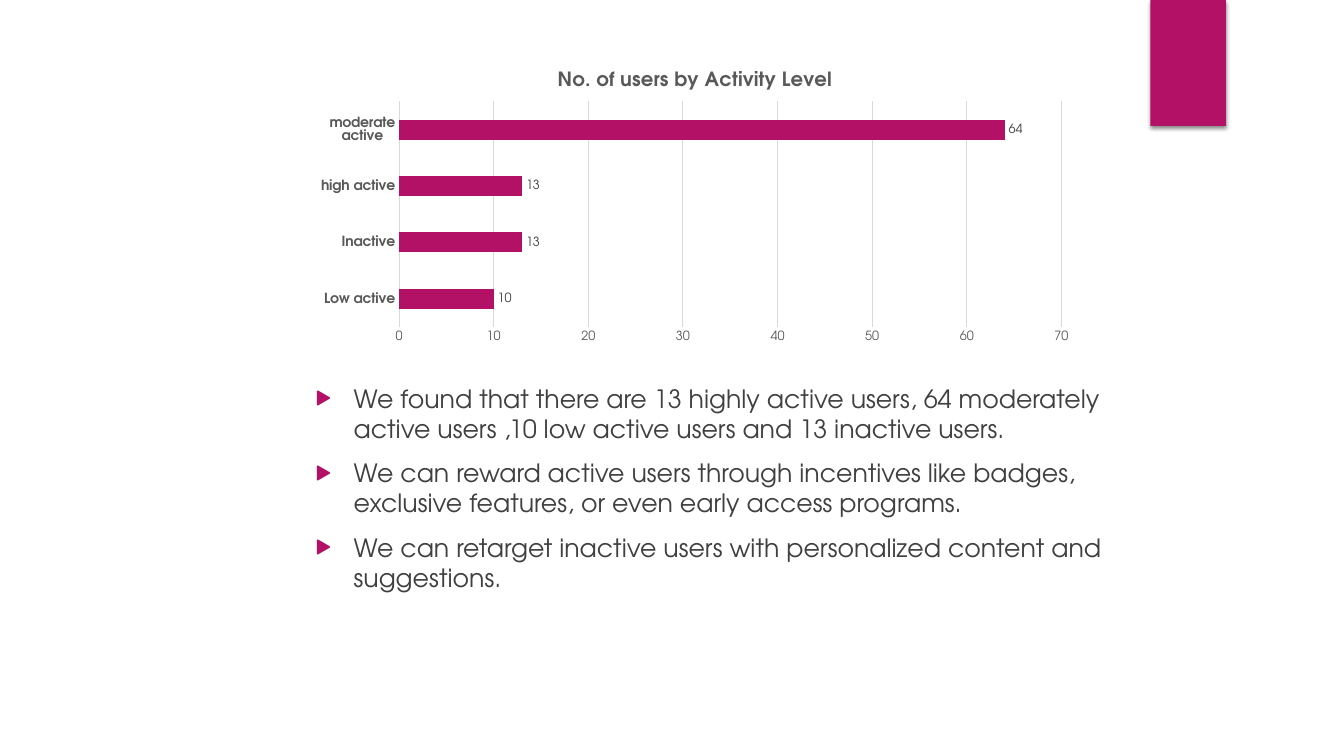
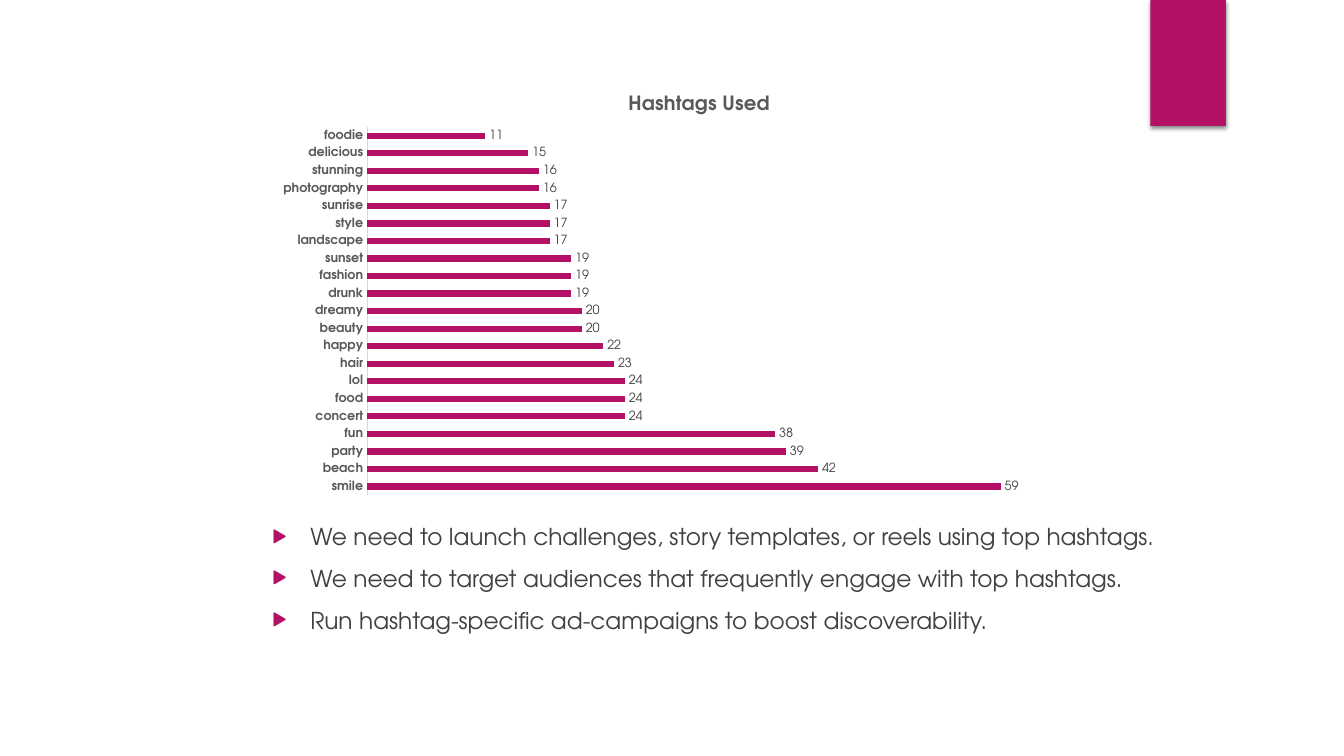
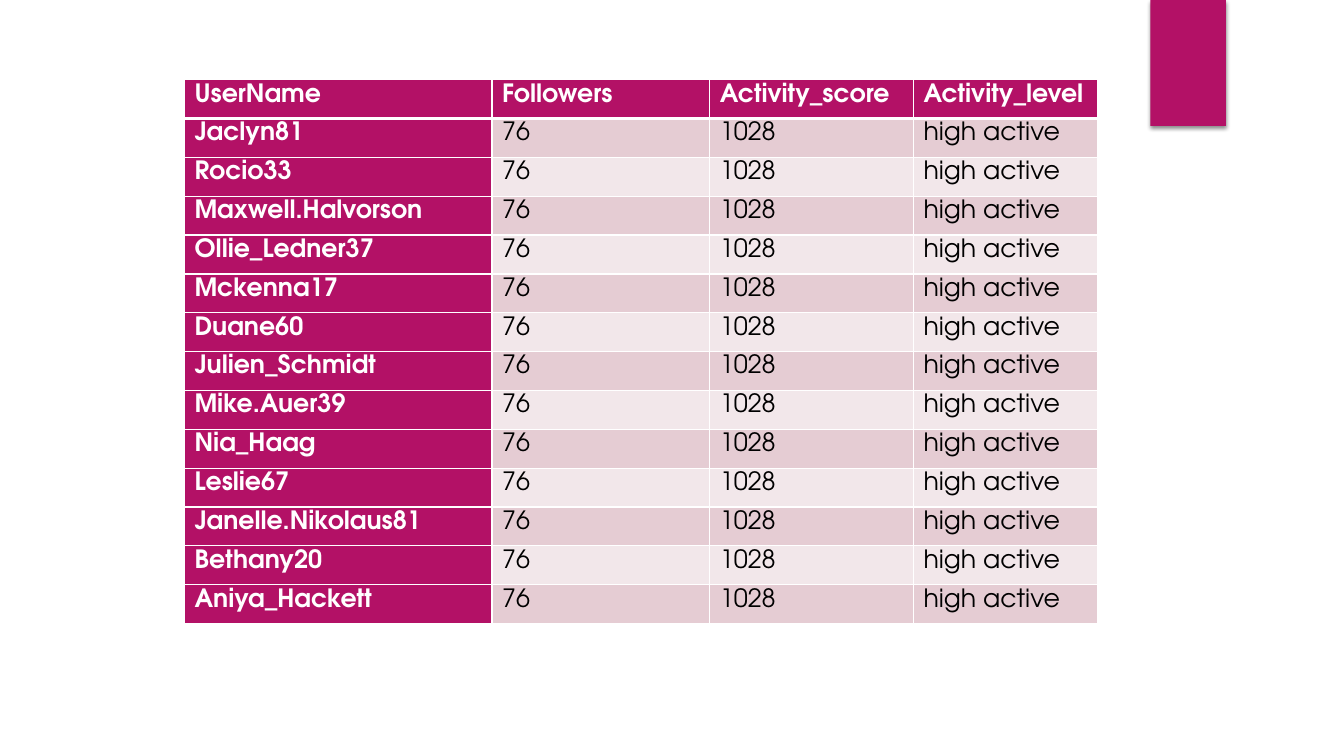
from lxml import etree
from pptx import Presentation, util as u
from pptx.chart.data import CategoryChartData
from pptx.dml.color import RGBColor
from pptx.enum import chart as ch, shapes, text
from pptx.oxml import parse_xml
from pptx.oxml.ns import nsdecls, qn

FONT = "TeX Gyre Adventor"
COLORS = {k: RGBColor.from_string(v) for k, v in {
    "accent": "B31166", "body": "404040", "axis": "595959", "grid": "D9D9D9",
    "white": "FFFFFF", "black": "000000", "dark_row": "E5CCD3", "light_row": "F2E7EA",
}.items()}

CHART_SLIDES = [
    {
        "title": "No. of users by Activity Level",
        "values": {"Low active": 10, "Inactive": 13, "high active": 13, "moderate active": 64},
        "chart_at": (3.03, 0.54, 7.73, 2.91),
        "plot": (0.12, 0.16, 0.85, 0.77),
        "category_size": 10,
        "show_scale": True,
        "text_at": (3.03, 3.75, 8.53, 2.87),
        "text_size": 18,
        "bullets": [
            "We found that there are 13 highly active users, 64 moderately active users ,"
            "10 low active users and 13 inactive users.",
            "We can reward active users through incentives like badges, exclusive features, "
            "or even early access programs.",
            "We can retarget inactive users with personalized content and suggestions.",
        ],
    },
    {
        "title": "Hashtags Used",
        "values": {
            "smile": 59, "beach": 42, "party": 39, "fun": 38, "concert": 24, "food": 24,
            "lol": 24, "hair": 23, "happy": 22, "beauty": 20, "dreamy": 20, "drunk": 19,
            "fashion": 19, "sunset": 19, "landscape": 17, "style": 17, "sunrise": 17,
            "photography": 16, "stunning": 16, "delicious": 15, "foodie": 11,
        },
        "chart_at": (2.6, 0.75, 8.67, 4.25),
        "plot": (0.12, 0.12, 0.86, 0.86),
        "category_size": 9,
        "show_scale": False,
        "text_at": (2.6, 5.13, 8.96, 1.49),
        "text_size": 16.6,
        "bullets": [
            "We need to launch challenges, story templates, or reels using top hashtags.",
            "We need to target audiences that frequently engage with top hashtags.",
            "Run hashtag-specific ad-campaigns to boost discoverability.",
        ],
    },
]

HEADER = ("UserName", "Followers", "Activity_score", "Activity_level")
USERS = ("Jaclyn81", "Rocio33", "Maxwell.Halvorson", "Ollie_Ledner37", "Mckenna17",
         "Duane60", "Julien_Schmidt", "Mike.Auer39", "Nia_Haag", "Leslie67",
         "Janelle.Nikolaus81", "Bethany20", "Aniya_Hackett")
USER_STATS = ("76", "1028", "high active")
COLUMN_WIDTHS = (3.05, 2.16, 2.02, 1.83)
TABLE_LEFT, TABLE_TOP, TABLE_HEIGHT = 1.83, 0.79, 5.4


def inches(box):
    return [u.Inches(v) for v in box]


def style_font(font, size, color, bold=False):
    font.name, font.size, font.bold = FONT, u.Pt(size), bold
    font.color.rgb = COLORS[color]


def add_band(slide, layout):
    """Draw the corner band and move it to the layout, which every slide uses."""
    sp = slide.shapes.add_shape(shapes.MSO_SHAPE.RECTANGLE, *inches((11.41, 0, 0.75, 1.25)))
    sp.fill.solid()
    sp.fill.fore_color.rgb = COLORS["accent"]
    sp.line.fill.background()
    sp.shadow.inherit = False
    sp.element.spPr.find(qn("a:effectLst")).append(parse_xml(
        f'<a:outerShdw {nsdecls("a")} blurRad="{u.Pt(3)}" dist="{u.Pt(2)}" dir="5400000" '
        f'rotWithShape="0"><a:srgbClr val="{COLORS["black"]}"><a:alpha val="45000"/>'
        '</a:srgbClr></a:outerShdw>'))
    layout.element.cSld.spTree.append(sp.element)


def add_bullets(slide, box, lines, size):
    tf = slide.shapes.add_textbox(*inches(box)).text_frame
    tf.word_wrap = True
    for i, line in enumerate(lines):
        p = tf.paragraphs[0] if i == 0 else tf.add_paragraph()
        p.text = line
        p.space_before = u.Pt(10)
        style_font(p.font, size, "body")
        pPr = p._p.get_or_add_pPr()
        indent = u.Inches(0.38)
        pPr.set("marL", str(indent))
        pPr.set("indent", str(-indent))
        bullet = parse_xml(
            f'<a:pPr {nsdecls("a")}><a:buClr><a:srgbClr val="{COLORS["accent"]}"/></a:buClr>'
            f'<a:buSzPct val="80000"/><a:buFont typeface="{FONT}"/><a:buChar char="▶"/></a:pPr>')
        at = list(pPr).index(pPr.find(qn("a:spcBef"))) + 1
        pPr[at:at] = list(bullet)


def place_plot(chart, shares):
    """Fix the inner plot area at shares of the chart's size."""
    area = chart._chartSpace.find(".//" + qn("c:plotArea"))
    for old in area.findall(qn("c:layout")):
        area.remove(old)
    layout = parse_xml(f'<c:layout {nsdecls("c")}><c:manualLayout/></c:layout>')
    settings = [("layoutTarget", "inner"), ("xMode", "edge"), ("yMode", "edge"),
                *zip("xywh", shares)]
    for tag, value in settings:
        etree.SubElement(layout[0], qn(f"c:{tag}")).set("val", str(value))
    area.insert(0, layout)


def add_bar_chart(slide, item):
    data = CategoryChartData()
    data.categories = list(item["values"])
    data.add_series("Series 1", list(item["values"].values()))
    chart = slide.shapes.add_chart(
        ch.XL_CHART_TYPE.BAR_CLUSTERED, *inches(item["chart_at"]), data).chart
    style_font(chart.font, 10, "black")
    chart.has_legend = False
    chart.has_title = True
    p = chart.chart_title.text_frame.paragraphs[0]
    p.text = item["title"]
    style_font(p.font, 14, "axis", True)
    chart.chart_title.include_in_layout = False

    plot = chart.plots[0]
    plot.gap_width = 182
    plot.vary_by_categories = False
    bars = plot.series[0].format.fill
    bars.solid()
    bars.fore_color.rgb = COLORS["accent"]
    plot.has_data_labels = True
    labels = plot.data_labels
    labels.show_value = True
    labels.position = ch.XL_LABEL_POSITION.OUTSIDE_END
    style_font(labels.font, 9, "body")

    cats, scale = chart.category_axis, chart.value_axis
    for axis in (cats, scale):
        axis.major_tick_mark = axis.minor_tick_mark = ch.XL_TICK_MARK.NONE
    style_font(cats.tick_labels.font, item["category_size"], "axis", True)
    scale.minimum_scale, scale.maximum_scale, scale.major_unit = 0, 70, 10
    scale.visible = scale.has_major_gridlines = item["show_scale"]
    lines = [cats.format.line]
    if item["show_scale"]:
        style_font(scale.tick_labels.font, 9, "axis")
        scale.format.line.fill.background()
        lines.append(scale.major_gridlines.format.line)
    for line in lines:
        line.color.rgb = COLORS["grid"]
        line.width = u.Pt(0.75)
    place_plot(chart, item["plot"])


def set_borders(cell, **widths):
    tcPr = cell._tc.get_or_add_tcPr()
    for side in "LRTB":
        tcPr.append(parse_xml(
            f'<a:ln{side} {nsdecls("a")} w="{u.Pt(widths.get(side, 1))}"><a:solidFill>'
            f'<a:srgbClr val="{COLORS["white"]}"/></a:solidFill></a:ln{side}>'))


def add_user_table(slide):
    rows = [HEADER] + [(user, *USER_STATS) for user in USERS]
    box = (TABLE_LEFT, TABLE_TOP, sum(COLUMN_WIDTHS), TABLE_HEIGHT)
    table = slide.shapes.add_table(len(rows), len(HEADER), *inches(box)).table
    for column, width in zip(table.columns, COLUMN_WIDTHS):
        column.width = u.Inches(width)
    for r, row in enumerate(rows):
        table.rows[r].height = u.Inches(TABLE_HEIGHT / len(rows))
        for c, value in enumerate(row):
            cell = table.cell(r, c)
            heading = r == 0 or c == 0
            cell.text = value
            cell.vertical_anchor = text.MSO_ANCHOR.MIDDLE
            cell.margin_top, cell.margin_bottom = 0, u.Inches(0.08)
            style_font(cell.text_frame.paragraphs[0].font, 18,
                       "white" if heading else "black", heading)
            set_borders(cell, T=3 if r == 1 else 1, B=3 if r == 0 else 1)
            cell.fill.solid()
            fill = "accent" if heading else "dark_row" if r % 2 else "light_row"
            cell.fill.fore_color.rgb = COLORS[fill]


def main():
    prs = Presentation()
    prs.slide_width, prs.slide_height = inches((13.33, 7.5))
    blank = prs.slide_layouts[6]
    for item in CHART_SLIDES:
        slide = prs.slides.add_slide(blank)
        if len(prs.slides) == 1:
            add_band(slide, blank)
        add_bullets(slide, item["text_at"], item["bullets"], item["text_size"])
        add_bar_chart(slide, item)
    add_user_table(prs.slides.add_slide(blank))
    prs.save("out.pptx")


if __name__ == "__main__":
    main()
